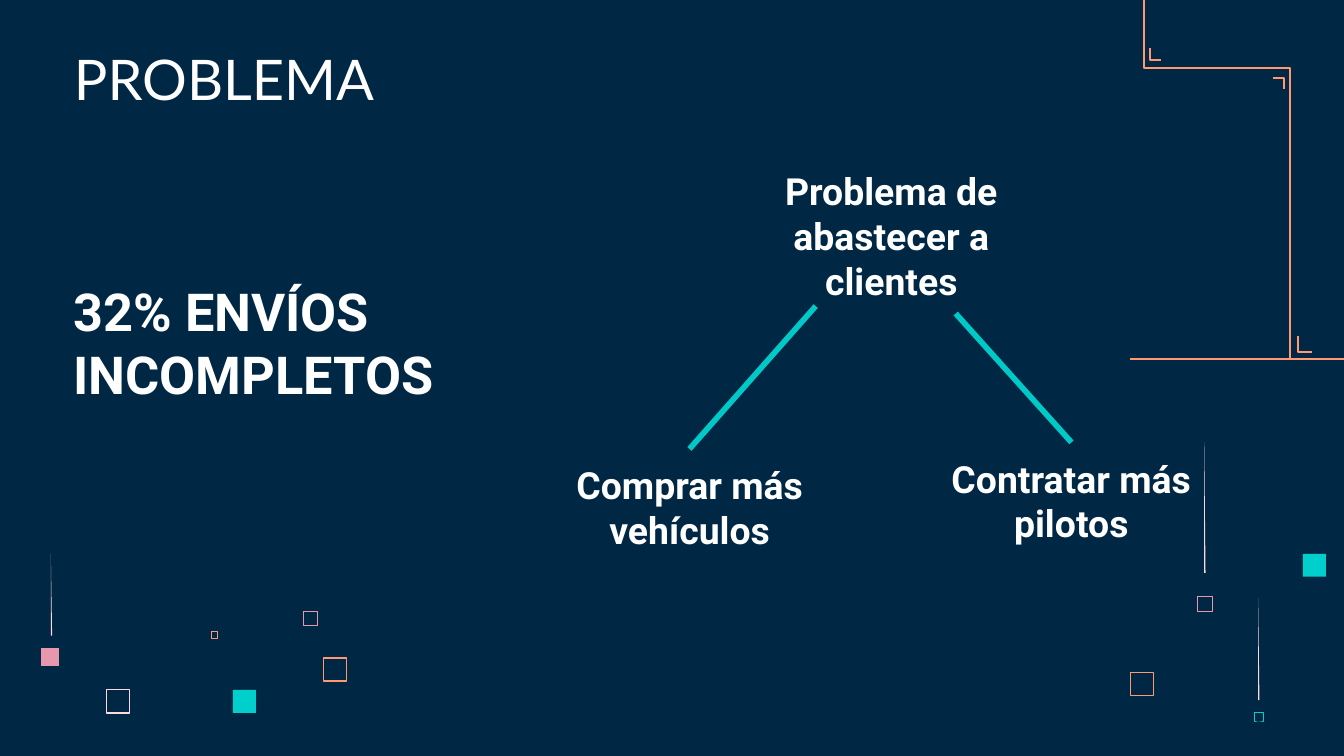
from dataclasses import dataclass

from lxml import etree
from pptx import Presentation
from pptx.dml.color import RGBColor
from pptx.enum.shapes import MSO_CONNECTOR, MSO_SHAPE
from pptx.enum.text import MSO_ANCHOR, MSO_AUTO_SIZE, PP_ALIGN
from pptx.oxml.ns import qn
from pptx.util import Pt

LEFT, CENTER = PP_ALIGN.LEFT, PP_ALIGN.CENTER
TOP, BOTTOM = MSO_ANCHOR.TOP, MSO_ANCHOR.BOTTOM
NO_FIT = MSO_AUTO_SIZE.NONE
RECT = MSO_SHAPE.RECTANGLE
STRAIGHT = MSO_CONNECTOR.STRAIGHT


@dataclass(frozen=True)
class Theme:
    """Colours, fonts and type sizes of the deck."""
    navy: str = "002845"
    white: str = "FFFFFF"
    orange: str = "FF9973"
    pink: str = "E898AC"
    blush: str = "FFD6E1"
    teal: str = "00CFCC"
    branch: str = "00CAC8"
    head: str = "Lato"
    body: str = "Roboto"
    title: int = 30
    claim: int = 28
    node: int = 20


THEME = Theme()


def rgb(tone):
    """Turn a hex string into a colour."""
    return RGBColor.from_string(tone)


def place(shape, box):
    """Move and size a shape to a box in points."""
    shape.left, shape.top, shape.width, shape.height = map(Pt, box)


def write(shape, text, *, size, font=THEME.body, bold=False, align=LEFT, anchor=TOP):
    """Fill a shape with one formatted paragraph."""
    frame = shape.text_frame
    frame.word_wrap, frame.auto_size = True, NO_FIT
    frame.vertical_anchor = anchor
    frame.margin_left = frame.margin_right = Pt(7.2)
    frame.margin_top = frame.margin_bottom = Pt(7.2)
    para = frame.paragraphs[0]
    para.alignment = align
    run = para.add_run()
    run.text = text
    run.font.name, run.font.size, run.font.bold = font, Pt(size), bold
    run.font.color.rgb = rgb(THEME.white)


def label(slide, box, text, **form):
    """Add a text box with formatted text."""
    write(slide.shapes.add_textbox(*map(Pt, box)), text, **form)


def paint(shape, fill=None, line=None, width=1):
    """Set the fill and outline of a shape and drop its shadow."""
    shape.shadow.inherit = False
    if fill:
        shape.fill.solid()
        shape.fill.fore_color.rgb = rgb(fill)
    else:
        shape.fill.background()
    if line:
        shape.line.color.rgb = rgb(line)
        shape.line.width = Pt(width)
    else:
        shape.line.fill.background()


def trace(slide, box, dots, close=False, **form):
    """Draw an outline through dots given relative to a box."""
    dots = [(Pt(box[0] + x), Pt(box[1] + y)) for x, y in dots]
    pen = slide.shapes.build_freeform(*dots[0])
    pen.add_line_segments(dots[1:], close=close)
    paint(pen.convert_to_shape(), **form)


def title(slide, box):
    """Place the slide title in its placeholder."""
    place(slide.shapes.title, box)
    write(slide.shapes.title, "PROBLEMA", size=THEME.title, font=THEME.head, anchor=BOTTOM)


def claim(slide, box):
    """Place the key figure."""
    label(slide, box, "32% ENVÍOS INCOMPLETOS", size=THEME.claim, bold=True)


def tree(slide, box):
    """Draw the problem and its two options, joined by branches."""
    left, top = box[:2]
    nodes = [
        ("Problema de abastecer a clientes", 108, 0),
        ("Comprar más vehículos", 0, 157.5),
        ("Contratar más pilotos", 204.4, 154),
    ]
    for text, x, y in nodes:
        label(slide, (left + x, top + y, 157, 75), text,
              size=THEME.node, bold=True, align=CENTER)
    for x1, y1, x2, y2 in [(146, 81, 78.4, 157.5), (221, 85, 283, 154)]:
        ends = (left + x1, top + y1, left + x2, top + y2)
        branch = slide.shapes.add_connector(STRAIGHT, *map(Pt, ends))
        branch.line.color.rgb = rgb(THEME.branch)
        branch.line.width = Pt(3)
        etree.SubElement(branch._element.spPr, qn("a:effectLst"))


def frame(slide, box):
    """Draw the stepped corner line with its small brackets."""
    lines = [
        [(0, 192.2), (box[2], 192.2)],
        [(7.5, 0), (7.5, 36.4), (85.7, 36.4), (85.7, 192.2)],
        [(90, 180), (90, 188.4), (97.5, 188.4)],
        [(76.6, 41.8), (82.5, 41.8), (82.5, 47.7)],
        [(10.7, 25.7), (10.7, 32.1), (16.6, 32.1)],
    ]
    for dots in lines:
        trace(slide, box, dots, line=THEME.orange)


def spray(slide, box, solids, rings, streaks):
    """Scatter filled squares, hollow squares and tapered streaks."""
    forms = [(x, y, side, {"fill": tone}) for x, y, side, tone in solids]
    forms += [(x, y, side, {"line": tone, "width": width})
              for x, y, side, tone, width in rings]
    for x, y, side, form in forms:
        spot = (box[0] + x, box[1] + y, side, side)
        paint(slide.shapes.add_shape(RECT, *map(Pt, spot)), **form)
    for x, y, high in streaks:
        dots = [(x, y), (x, y + high), (x + 0.7, y + high)]
        trace(slide, box, dots, close=True, fill=THEME.blush)


def main():
    """Build and save the slide."""
    deck = Presentation()
    deck.slide_width, deck.slide_height = Pt(720), Pt(405)
    slide = deck.slides.add_slide(deck.slide_layouts[5])
    slide.background.fill.solid()
    slide.background.fill.fore_color.rgb = rgb(THEME.navy)
    spray(
        slide, (22, 296, 164, 87),
        solids=[(0, 51.2, 9.6, THEME.pink), (102.8, 73.6, 12.3, THEME.teal)],
        rings=[
            (35.1, 73.5, 12.4, THEME.blush, 0.8),
            (140.6, 31.4, 7.7, THEME.pink, 0.6),
            (91.1, 42.4, 3.5, THEME.orange, 0.6),
            (151.3, 56.5, 12.4, THEME.orange, 0.8),
        ],
        streaks=[(5.2, 0.6, 44)],
    )
    spray(
        slide, (604, 236, 107, 151),
        solids=[(94, 60.7, 12.3, THEME.teal)],
        rings=[
            (37.5, 83.5, 8, THEME.pink, 0.25),
            (68, 145.6, 4.6, THEME.teal, 0.25),
            (1.6, 124.2, 12.4, THEME.orange, 0.8),
        ],
        streaks=[(41.1, 0.9, 70), (70, 84.4, 54.7)],
    )
    claim(slide, (32.4, 142.6, 251.3, 62))
    title(slide, (32.4, 21.6, 211.7, 45.4))
    frame(slide, (605.4, 0, 114.6, 193))
    tree(slide, (291, 83, 362, 229))
    deck.save("out.pptx")


if __name__ == "__main__":
    main()
